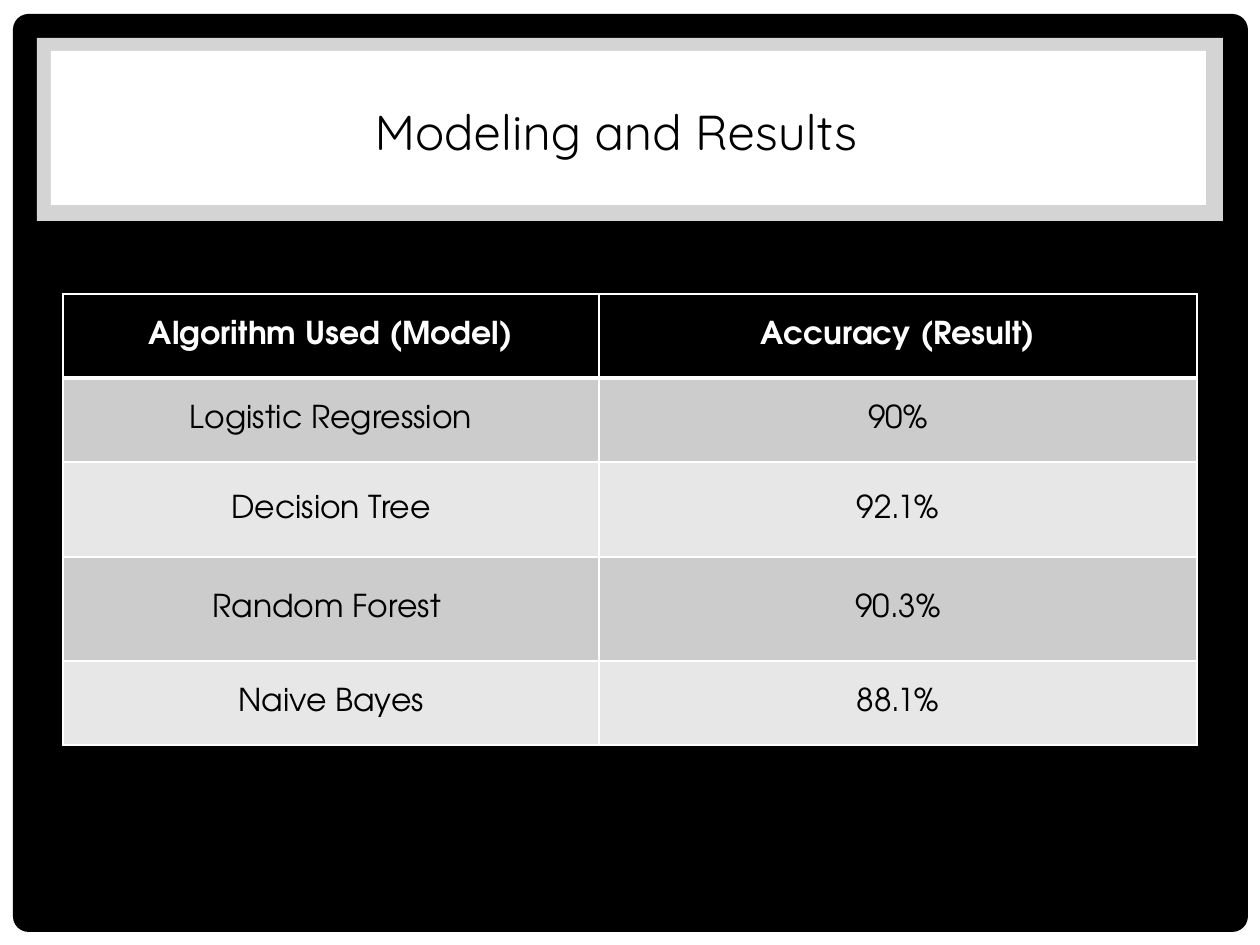
from lxml import etree
from pptx import Presentation
from pptx import util as u
from pptx.dml.color import RGBColor
from pptx.enum import shapes, text
from pptx.oxml import ns

BLACK = RGBColor(0x00, 0x00, 0x00)
WHITE = RGBColor(0xFF, 0xFF, 0xFF)
DARK_BAND = RGBColor(0xCC, 0xCC, 0xCC)
LIGHT_BAND = RGBColor(0xE7, 0xE7, 0xE7)
PX = u.Inches(1) / 126

RESULTS = [
    ("Algorithm Used (Model)", "Accuracy (Result)"),
    ("Logistic Regression", "90%"),
    ("Decision Tree", "92.1%"),
    ("Random Forest ", "90.3%"),
    ("Naive Bayes", "88.1%"),
]


def emu(*lengths):
    return [u.Emu(round(length * PX)) for length in lengths]


class Deck:
    title_font = {"name": "Quicksand", "size": u.Pt(28), "bold": False}
    table_font = {"name": "TeX Gyre Adventor", "size": u.Pt(18)}

    def __init__(self, width, height):
        self.prs = Presentation()
        self.prs.slide_width, self.prs.slide_height = emu(width, height)
        self.slide = self.prs.slides.add_slide(self.prs.slide_layouts[5])
        backdrop = self.slide.background.fill
        backdrop.solid()
        backdrop.fore_color.rgb = BLACK

    def style(self, font, color, formats):
        for name, value in formats.items():
            setattr(font, name, value)
        font.color.rgb = color

    def panel(self, box, color, rounding=None, opacity=None):
        kind = shapes.MSO_SHAPE.ROUNDED_RECTANGLE if rounding else shapes.MSO_SHAPE.RECTANGLE
        panel = self.slide.shapes.add_shape(kind, *emu(*box))
        panel.shadow.inherit = False
        panel.line.fill.background()
        panel.fill.solid()
        panel.fill.fore_color.rgb = color
        if rounding:
            panel.adjustments[0] = rounding
        if opacity:
            tint = panel.element.spPr.find(".//" + ns.qn("a:srgbClr"))
            etree.SubElement(tint, ns.qn("a:alpha"), val=str(opacity * 1000))

    def title(self, box, wording):
        title = self.slide.shapes.title
        title.element.getparent().append(title.element)
        title.left, title.top, title.width, title.height = emu(*box)
        frame = title.text_frame
        frame.text = wording
        frame.word_wrap = True
        frame.auto_size = text.MSO_AUTO_SIZE.NONE
        frame.vertical_anchor = text.MSO_ANCHOR.MIDDLE
        heading = frame.paragraphs[0]
        heading.alignment = text.PP_ALIGN.LEFT
        self.style(heading.font, BLACK, self.title_font)

    def border(self, cell, side, points):
        line = etree.SubElement(
            cell._tc.get_or_add_tcPr(), ns.qn(f"a:ln{side}"), w=str(u.Pt(points))
        )
        fill = etree.SubElement(line, ns.qn("a:solidFill"))
        etree.SubElement(fill, ns.qn("a:srgbClr"), val=str(WHITE))

    def cell(self, cell, wording, row):
        heavy = {0: "B", 1: "T"}.get(row)
        for side in "LRTB":
            self.border(cell, side, 3 if side == heavy else 1)
        cell.fill.solid()
        bands = (LIGHT_BAND, DARK_BAND)
        cell.fill.fore_color.rgb = bands[row % 2] if row else BLACK
        cell.vertical_anchor = text.MSO_ANCHOR.MIDDLE
        cell.text = wording
        entry = cell.text_frame.paragraphs[0]
        entry.alignment = text.PP_ALIGN.CENTER
        header = row == 0
        self.style(entry.font, WHITE if header else BLACK, {**self.table_font, "bold": header})

    def table(self, left, top, widths, heights, rows):
        box = emu(left, top, sum(widths), sum(heights))
        table = self.slide.shapes.add_table(len(rows), len(widths), *box).table
        for column, width in zip(table.columns, emu(*widths)):
            column.width = width
        for line, height in zip(table.rows, emu(*heights)):
            line.height = height
        for r, row in enumerate(rows):
            for c, wording in enumerate(row):
                self.cell(table.cell(r, c), wording, r)


def main():
    deck = Deck(1260, 945)
    deck.panel((0, 0, 1260, 945), WHITE)
    deck.panel((13, 14, 1235, 918), BLACK, rounding=0.017)
    deck.panel((37, 38, 1186, 183), WHITE, opacity=83)
    deck.panel((51, 51, 1155, 154), WHITE)
    deck.table(63, 294, (536, 598), (84, 84, 95, 104, 84), RESULTS)
    deck.title((362, 95, 537, 72), "Modeling and Results")
    deck.prs.save("out.pptx")


if __name__ == "__main__":
    main()
